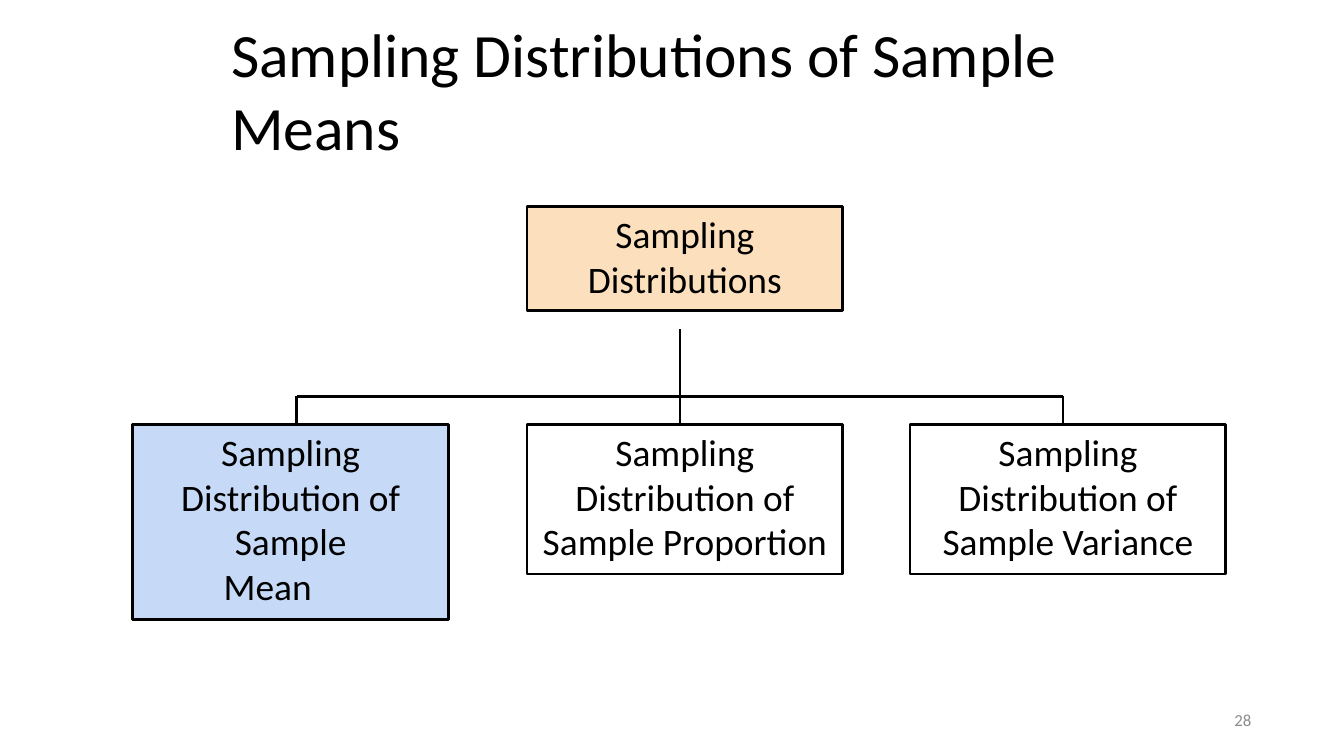
"""Build a slide with a tree of sampling distributions."""
from lxml.etree import SubElement
from pptx import Presentation
from pptx.dml.color import RGBColor
from pptx.enum.shapes import MSO_CONNECTOR as Connector, MSO_SHAPE as Shape
from pptx.enum.text import MSO_ANCHOR as Anchor, MSO_AUTO_SIZE as AutoSize, PP_ALIGN as Align
from pptx.oxml.ns import qn
from pptx.util import Cm, Pt

COLORS = {"ink": "000000", "number": "8C8C8C", "root": "FCDFBC",
          "mean": "C6DAF7", "plain": "FFFFFF"}
TITLE = "Sampling Distributions of Sample Means"
PAGE_NUMBER = "28"
ROOT_TOP, BRANCH_TOP, BOX_WIDTH = 3.91, 8.03, 5.97
BOXES = [
    (["Sampling Distributions"], 9.96, ROOT_TOP, 1.96, "root"),
    (["Sampling Distribution of Sample", "Mean"], 2.51, BRANCH_TOP, 3.68, "mean"),
    (["Sampling Distribution of Sample Proportion"], 9.96, BRANCH_TOP, 2.82, "plain"),
    (["Sampling Distribution of Sample Variance"], 17.2, BRANCH_TOP, 2.82, "plain"),
]
STEM_TOP, BUS_Y = 6.22, 7.49
MIDDLE_X, BRANCH_GAP = 12.85, 7.24


def rgb(name):
    return RGBColor.from_string(COLORS[name])


def write(frame, paragraphs, size, color, align, anchor, side=0, top=0):
    frame.word_wrap = True
    frame.vertical_anchor = anchor
    frame.margin_left = frame.margin_right = Cm(side)
    frame.margin_top, frame.margin_bottom = Cm(top), 0
    for index, words in enumerate(paragraphs):
        paragraph = frame.paragraphs[0] if index == 0 else frame.add_paragraph()
        paragraph.text = words
        paragraph.alignment = align
        font = paragraph.font
        font.name, font.size, font.color.rgb = "Calibri", Pt(size), rgb(color)


def add_label(slide, words, place, size, color, align):
    label = slide.shapes.add_textbox(*map(Cm, place))
    write(label.text_frame, [words], size, color, align, Anchor.MIDDLE)
    label.text_frame.auto_size = AutoSize.SHAPE_TO_FIT_TEXT


def add_box(slide, paragraphs, left, top, height, fill):
    box = slide.shapes.add_shape(Shape.RECTANGLE, *map(Cm, (left, top, BOX_WIDTH, height)))
    box.shadow.inherit = False
    box.fill.solid()
    box.fill.fore_color.rgb = rgb(fill)
    box.line.color.rgb, box.line.width = rgb("ink"), Pt(1.5)
    write(box.text_frame, paragraphs, 20, "ink", Align.CENTER, Anchor.TOP, 0.25, 0.08)
    box.text_frame.paragraphs[0].space_before = Pt(2.4)
    for paragraph in box.text_frame.paragraphs[1:]:
        paragraph._p.get_or_add_pPr().set("marR", str(Cm(0.87)))


def add_line(slide, *ends):
    line = slide.shapes.add_connector(Connector.STRAIGHT, *map(Cm, ends))
    line.line.color.rgb, line.line.width = rgb("ink"), Pt(1.5)
    SubElement(line._element.spPr, qn("a:effectLst"))


def main():
    deck = Presentation()
    deck.slide_width, deck.slide_height = Cm(25.4), Cm(14.29)
    slide = deck.slides.add_slide(deck.slide_layouts[6])
    add_label(slide, TITLE, (4.37, 1.07, 16.66, 1.24), 33, "ink", Align.LEFT)
    add_label(slide, PAGE_NUMBER, (17.93, 13.23, 5.72, 0.76), 9, "number", Align.RIGHT)
    for box in BOXES:
        add_box(slide, *box)
    branch_xs = [MIDDLE_X + step * BRANCH_GAP for step in (-1, 0, 1)]
    add_line(slide, MIDDLE_X, STEM_TOP, MIDDLE_X, BUS_Y)
    add_line(slide, branch_xs[0], BUS_Y, branch_xs[-1], BUS_Y)
    for x in branch_xs:
        add_line(slide, x, BUS_Y, x, BRANCH_TOP)
    deck.save("out.pptx")


if __name__ == "__main__":
    main()
